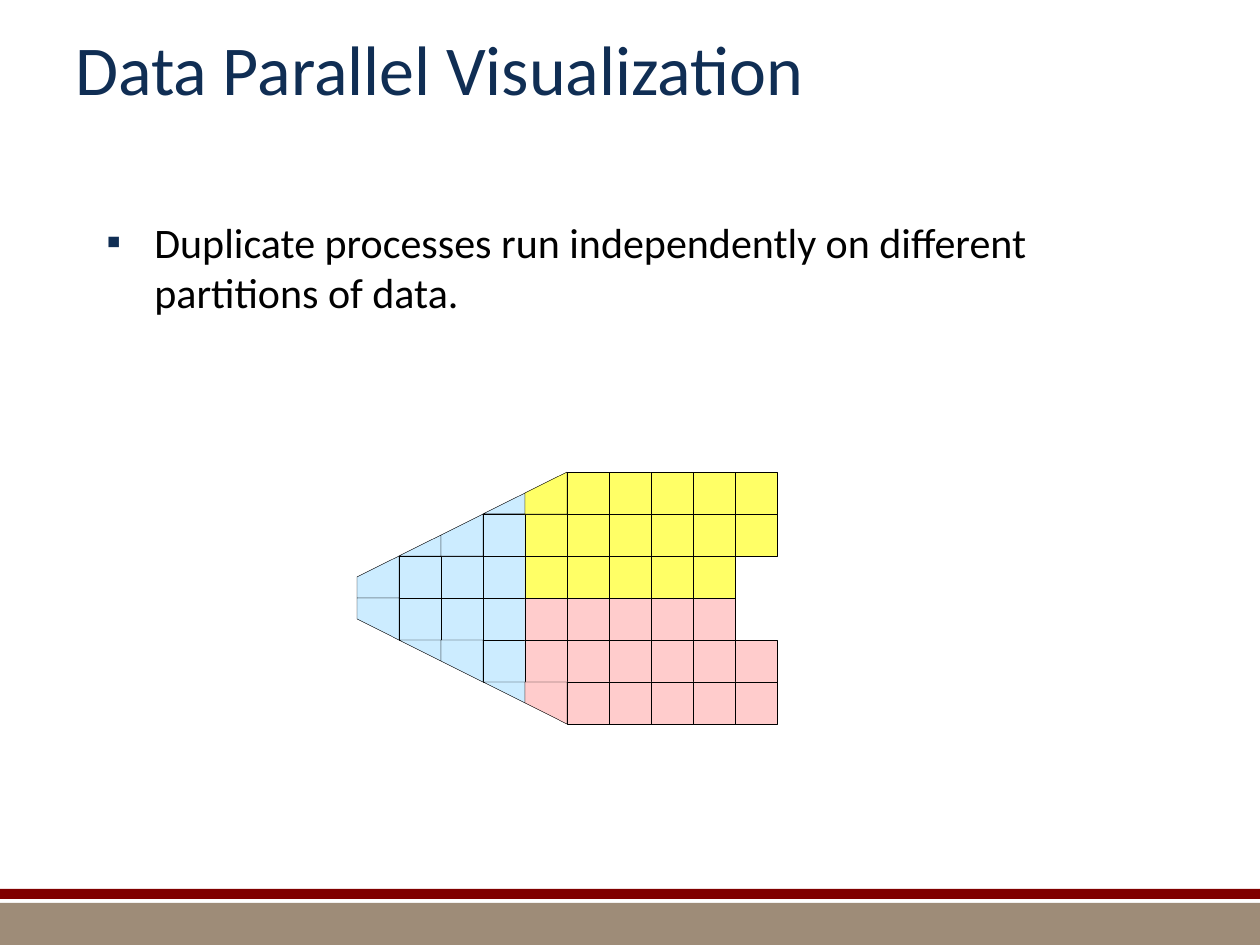
from lxml import etree
from pptx import Presentation, util as u
from pptx.dml.color import RGBColor
from pptx.enum import shapes, text
from pptx.oxml import ns

PX = 914400 / 126  # EMU in one px
NAVY = RGBColor(0x10, 0x2E, 0x54)
BLACK = RGBColor(0, 0, 0)
TAN = RGBColor(0x9E, 0x8C, 0x78)
MAROON = RGBColor(0x80, 0, 0)
YELLOW = RGBColor(0xFF, 0xFF, 0x66)
BLUE = RGBColor(0xCC, 0xEC, 0xFF)
PINK = RGBColor(0xFF, 0xCC, 0xCC)

CELL = 42
LEFT, AXIS = 357, 598  # nose of the mesh and its line of symmetry
ROWS, COLS = 3, 10     # rows on each side of the axis
SPLIT = 4              # first column of the yellow and pink parts


def px(n):
    return u.Emu(round(n * PX))


def paint(shape, fill, line=None):
    shape.shadow.inherit = False
    shape.fill.solid()
    shape.fill.fore_color.rgb = fill
    if line is None:
        shape.line.fill.background()
    else:
        shape.line.color.rgb = line
        shape.line.width = u.Pt(0.25)


def add_rect(slide, x, y, w, h, fill, line=None):
    box = slide.shapes.add_shape(
        shapes.MSO_SHAPE.RECTANGLE, px(x), px(y), px(w), px(h))
    paint(box, fill, line)


def add_poly(slide, points, fill):
    pen = slide.shapes.build_freeform(*points[0], scale=PX)
    pen.add_line_segments(points[1:], close=True)
    paint(pen.convert_to_shape(), fill, BLACK)


def add_text(slide, x, y, w, h, words, size, color, anchor):
    frame = slide.shapes.add_textbox(px(x), px(y), px(w), px(h)).text_frame
    frame.word_wrap = True
    frame.vertical_anchor = anchor
    frame.text = words
    para = frame.paragraphs[0]
    font = para.runs[0].font
    font.name, font.size = "Calibri", u.Pt(size)
    font.color.rgb = color
    return para


def add_bullet(para, char, color, indent):
    props = para._p.get_or_add_pPr()
    props.set("marL", str(px(indent)))
    props.set("indent", str(px(-indent)))
    tint = etree.SubElement(props, ns.qn("a:buClr"))
    etree.SubElement(tint, ns.qn("a:srgbClr"), val=str(color))
    etree.SubElement(props, ns.qn("a:buFont"), typeface="Arial")
    etree.SubElement(props, ns.qn("a:buChar"), char=char)


def add_cell(slide, side, row, col, fill):
    """Draw one mesh cell, cut by the sloping edge of the nose."""
    x = LEFT + col * CELL
    base = AXIS + side * row * CELL
    # The edge rises half a cell per column
    near = (col + 1) * CELL // 2 - row * CELL
    far = near + CELL // 2
    if near >= CELL:
        add_rect(slide, x, min(base, base + side * CELL), CELL, CELL, fill, BLACK)
    elif far > 0:
        points = [(x, base), (x + CELL, base), (x + CELL, base + side * far)]
        if near > 0:
            points.append((x, base + side * near))
        add_poly(slide, points, fill)


def add_mesh(slide):
    for side, tone in ((-1, YELLOW), (1, PINK)):
        for row in range(ROWS):
            # The row next to the axis is one cell shorter
            last = COLS if row else COLS - 1
            for col in range(last):
                add_cell(slide, side, row, col, BLUE if col < SPLIT else tone)


def main():
    deck = Presentation()
    deck.slide_width, deck.slide_height = px(1260), px(945)
    slide = deck.slides.add_slide(deck.slide_layouts[6])

    # Footer bands
    add_rect(slide, 0, 903, 1260, 42, TAN)
    add_rect(slide, 0, 889, 1260, 10, MAROON)

    # Title and body
    add_text(slide, 63, 0, 1134, 136, "Data Parallel Visualization",
             40, NAVY, text.MSO_ANCHOR.MIDDLE)
    para = add_text(
        slide, 94, 210, 1071, 136,
        "Duplicate processes run independently on different partitions of data.",
        24, BLACK, text.MSO_ANCHOR.TOP)
    add_bullet(para, "▪", NAVY, 48)

    # Partitioned mesh
    add_mesh(slide)
    deck.save("out.pptx")


if __name__ == "__main__":
    main()
